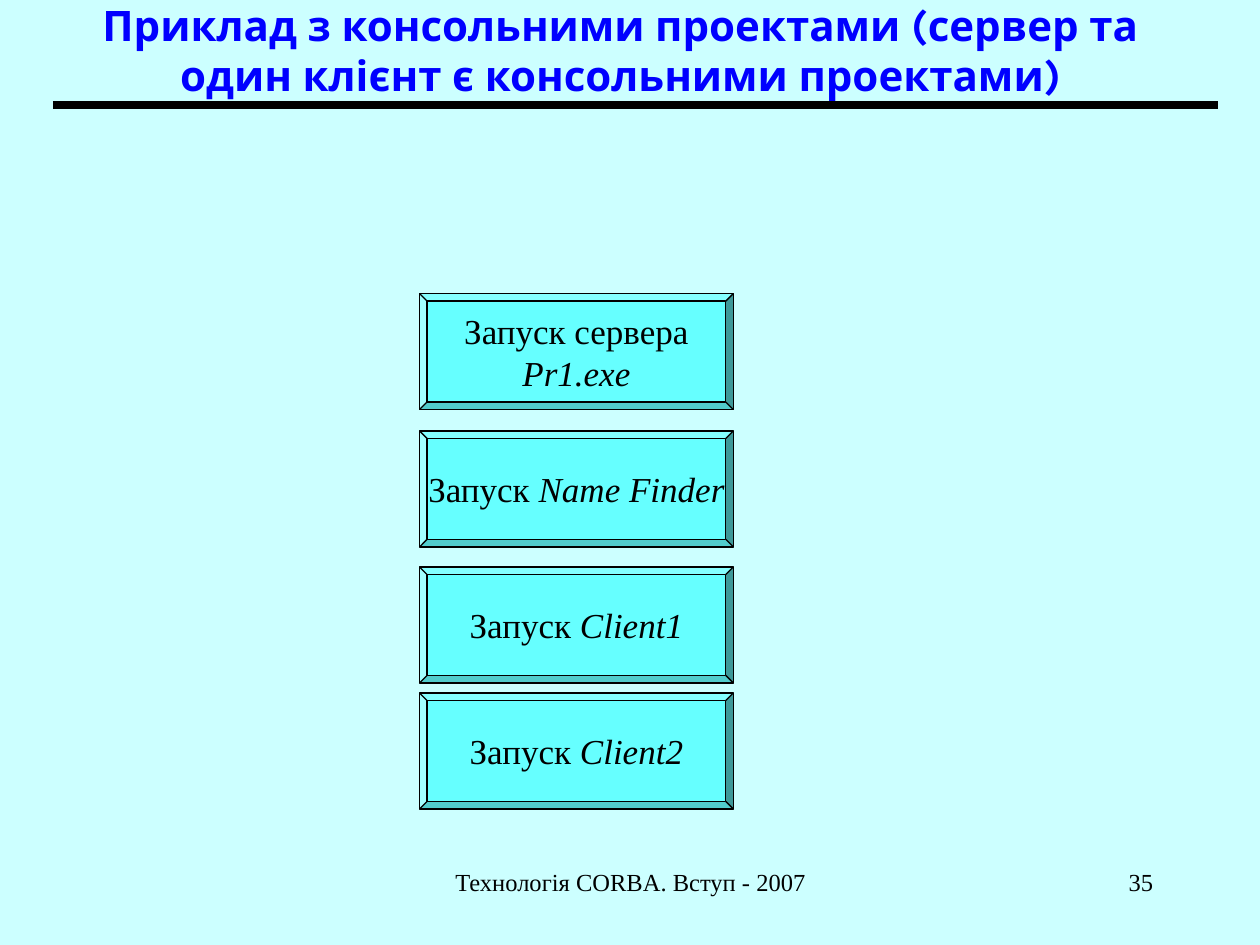
from pptx import Presentation, util as u
from pptx.dml.color import RGBColor
from pptx.enum import shapes, text
from pptx.oxml.ns import qn
from lxml import etree

COLORS = {"background": "CCFFFF", "title": "0000FF", "button": "66FFFF", "ink": "000000"}
BODY_FONT = "Times New Roman"

# Top edge of each button and its paragraphs of (wording, italic) runs
BUTTONS = [
    (2.33, [[("Запуск сервера", False)], [("Pr1.exe", True)]]),
    (3.42, [[("Запуск ", False), ("Name Finder", True)]]),
    (4.5, [[("Запуск ", False), ("Client1", True)]]),
    (5.5, [[("Запуск ", False), ("Client2", True)]]),
]


def color(name):
    return RGBColor.from_string(COLORS[name])


def format_font(font, size, name=BODY_FONT, color_name="ink", bold=False, italic=False):
    font.size = u.Pt(size)
    font.name = name
    font.color.rgb = color(color_name)
    font.bold = bold
    font.italic = italic


def set_title(slide, wording):
    title = slide.shapes.title
    title.left, title.top = u.Inches(0.6), u.Inches(0.04)
    title.width, title.height = u.Inches(8.65), u.Inches(0.71)
    frame = title.text_frame
    frame.text = wording
    frame.word_wrap = True
    frame.auto_size = text.MSO_AUTO_SIZE.NONE
    frame.vertical_anchor = text.MSO_ANCHOR.MIDDLE
    paragraph = frame.paragraphs[0]
    paragraph.alignment = text.PP_ALIGN.CENTER
    paragraph.line_spacing = 1.0
    format_font(paragraph.runs[0].font, 24, "Karla", "title", bold=True)


def add_rule(slide, left, right, top):
    rule = slide.shapes.add_connector(
        shapes.MSO_CONNECTOR.STRAIGHT,
        u.Inches(left), u.Inches(top), u.Inches(right), u.Inches(top))
    rule.line.color.rgb = color("ink")
    rule.line.width = u.Pt(4.5)
    etree.SubElement(rule._element.spPr, qn("a:effectLst"))


def add_button(slide, top, paragraphs):
    button = slide.shapes.add_shape(
        shapes.MSO_SHAPE.BEVEL,
        u.Inches(3.33), u.Inches(top), u.Inches(2.49), u.Inches(0.92))
    button.adjustments[0] = 0.065
    button.shadow.inherit = False
    button.fill.solid()
    button.fill.fore_color.rgb = color("button")
    button.line.color.rgb = color("ink")
    button.line.width = u.Pt(0.75)
    frame = button.text_frame
    frame.word_wrap = False
    frame.vertical_anchor = text.MSO_ANCHOR.MIDDLE
    for index, runs in enumerate(paragraphs):
        paragraph = frame.add_paragraph() if index else frame.paragraphs[0]
        paragraph.alignment = text.PP_ALIGN.CENTER
        for wording, italic in runs:
            run = paragraph.add_run()
            run.text = wording
            format_font(run.font, 20, italic=italic)


def add_footer(slide, left, width, wording, alignment):
    box = slide.shapes.add_textbox(
        u.Inches(left), u.Inches(6.83), u.Inches(width), u.Inches(0.5))
    box.text_frame.text = wording
    box.text_frame.word_wrap = True
    paragraph = box.text_frame.paragraphs[0]
    paragraph.alignment = alignment
    format_font(paragraph.runs[0].font, 14)


def main():
    presentation = Presentation()
    presentation.slide_width, presentation.slide_height = u.Inches(10), u.Inches(7.5)
    slide = presentation.slides.add_slide(presentation.slide_layouts[5])
    slide.background.fill.solid()
    slide.background.fill.fore_color.rgb = color("background")

    # Heading
    set_title(slide, "Приклад з консольними проектами (сервер та один клієнт "
                     "є консольними проектами)")
    add_rule(slide, 0.42, 9.67, 0.83)

    # Launch buttons
    for top, paragraphs in BUTTONS:
        add_button(slide, top, paragraphs)

    # Footer and slide number
    add_footer(slide, 3.42, 3.17, "Технологія CORBA. Вступ - 2007", text.PP_ALIGN.CENTER)
    add_footer(slide, 7.17, 2.08, "35", text.PP_ALIGN.RIGHT)

    presentation.save("out.pptx")


if __name__ == "__main__":
    main()
